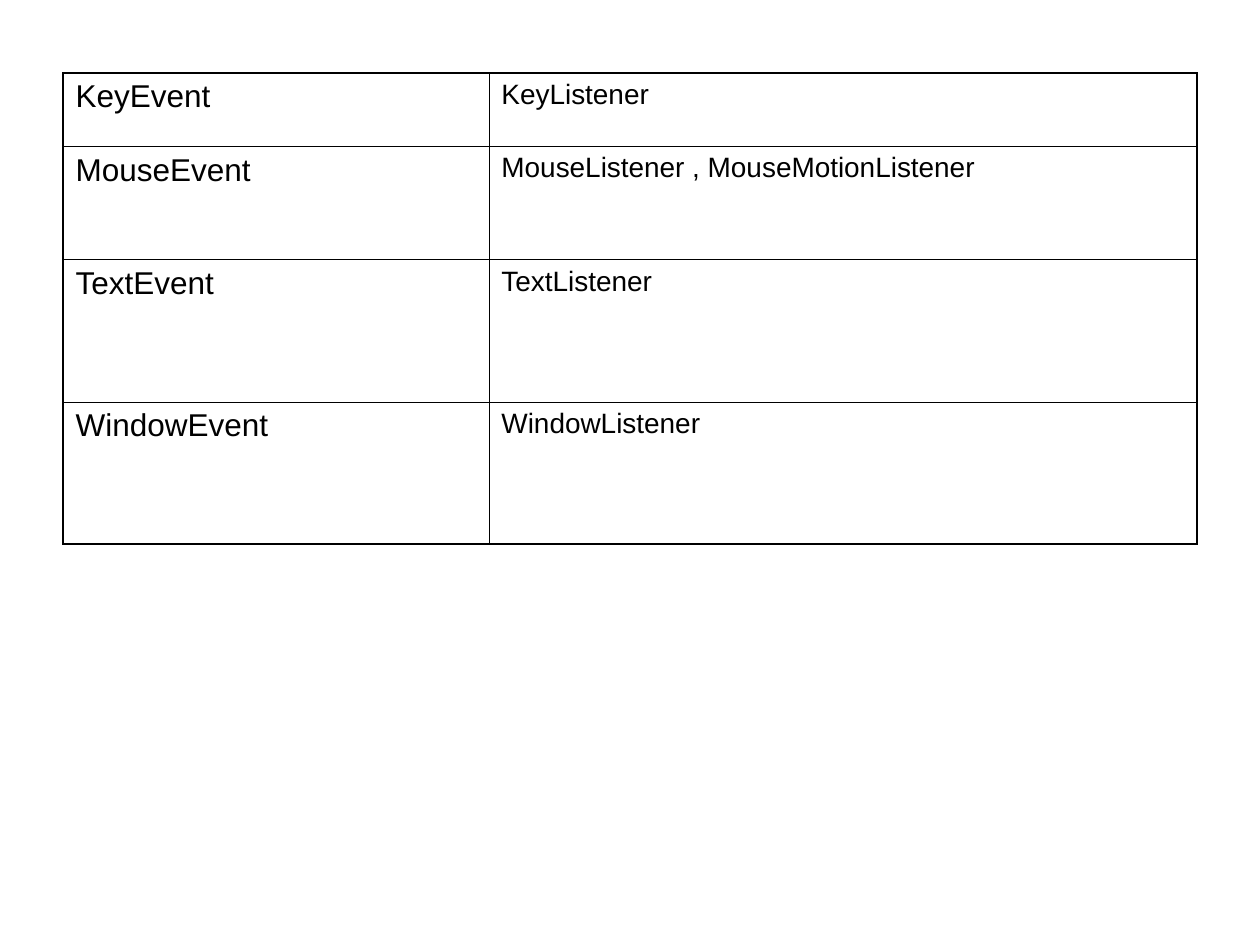
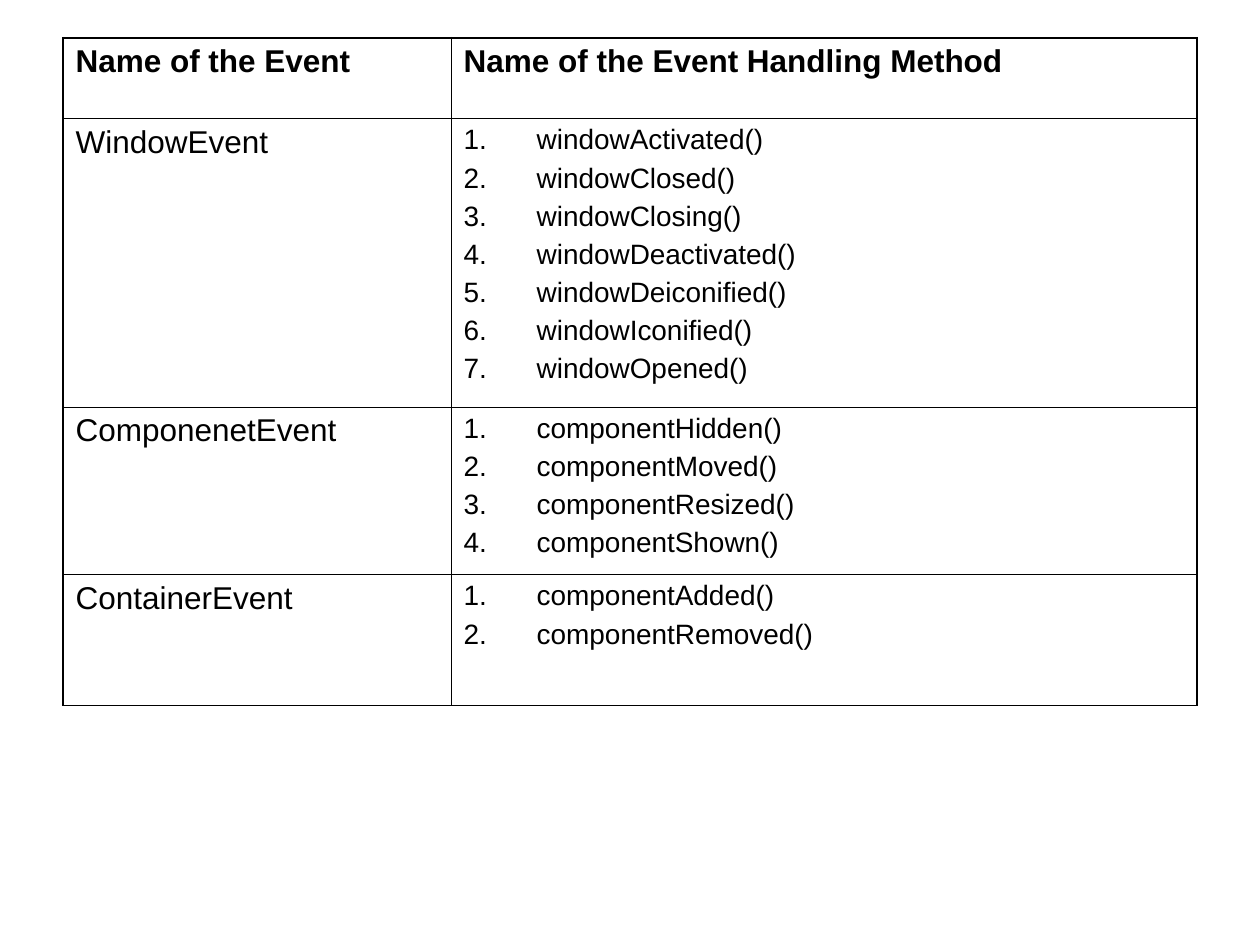
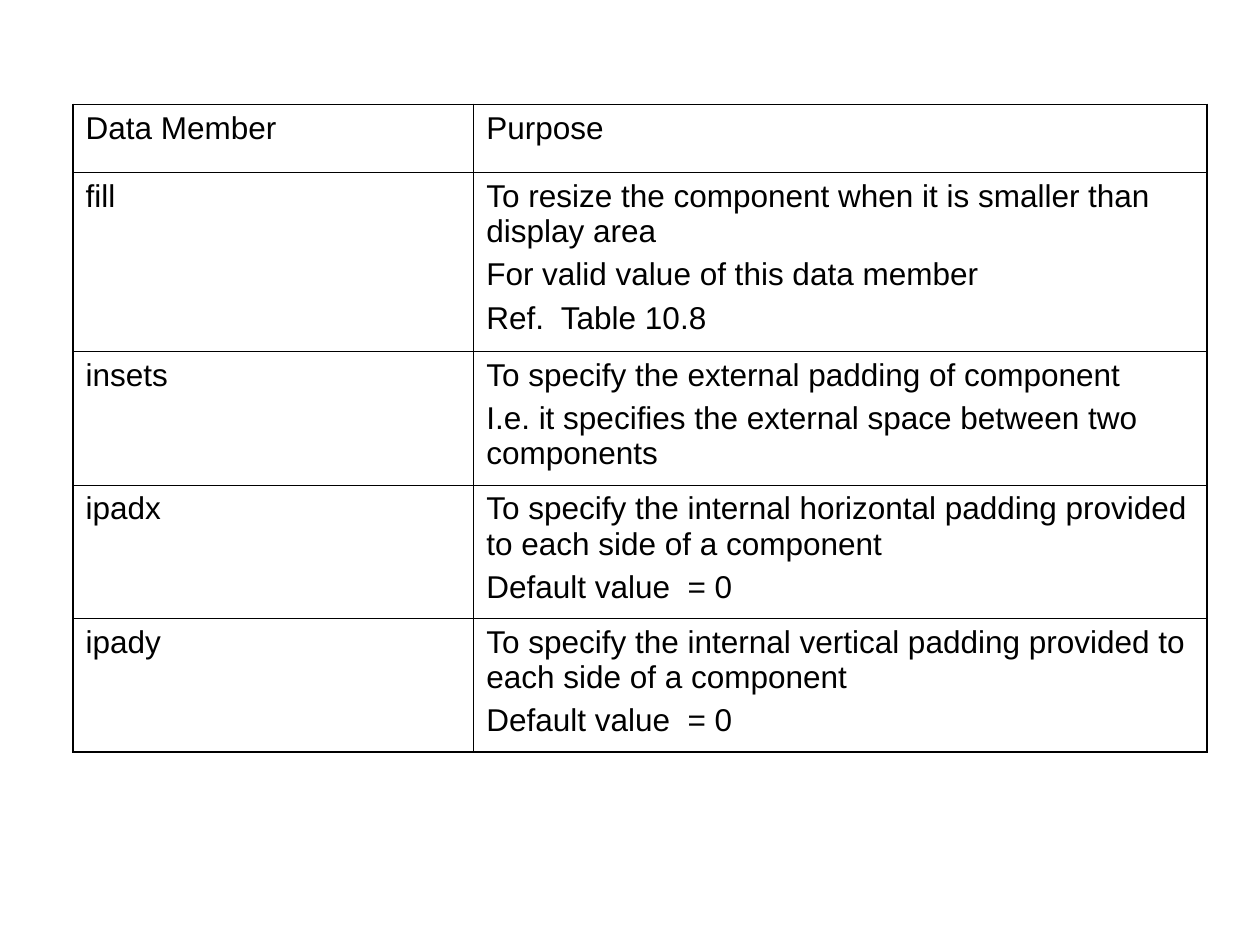
from lxml.etree import SubElement
from pptx import Presentation
from pptx.dml.color import RGBColor
from pptx.oxml.ns import qn
from pptx.util import Inches, Pt

INK = "000000"
FONT = "Arial"
OUTER_LINE, INNER_LINE = Pt(1.08), Pt(0.45)
PLAIN_TABLE_STYLE = "{2D5ABB26-0587-4C30-8999-92F81FD0307C}"
HANGING = Inches(0.58)
CELL_FORMAT = {
    "margin_left": Inches(0.1),
    "margin_right": Inches(0.1),
    "margin_top": Inches(0.05),
    "margin_bottom": Inches(0.05),
}
LABEL = {"size": 18, "space": 4.5}
HEADING = {**LABEL, "bold": True}
DETAIL = {"size": 16, "space": 4, "hanging": True}
NUMBERED = {**DETAIL, "numbered": True}

LISTENERS = [
    ("KeyEvent", ["KeyListener"]),
    ("MouseEvent", ["MouseListener , MouseMotionListener"]),
    ("TextEvent", ["TextListener"]),
    ("WindowEvent", ["WindowListener"]),
]
HANDLERS = [
    ("Name of the Event", ["Name of the Event Handling Method"]),
    ("WindowEvent", [
        "windowActivated()", "windowClosed()", "windowClosing()",
        "windowDeactivated()", "windowDeiconified()", "windowIconified()",
        "windowOpened()",
    ]),
    ("ComponenetEvent", [
        "componentHidden()", "componentMoved()", "componentResized()",
        "componentShown()",
    ]),
    ("ContainerEvent", ["componentAdded()", "componentRemoved()"]),
]
DATA_MEMBERS = [
    ("Data Member", ["Purpose"]),
    ("fill", [
        "To resize the component when it is smaller than display area",
        "For valid value of this data member",
        "Ref.  Table 10.8",
    ]),
    ("insets", [
        "To specify the external padding of component",
        "I.e. it specifies the external space between two components",
    ]),
    ("ipadx", [
        "To specify the internal horizontal padding provided to each side of a component",
        "Default value  = 0",
    ]),
    ("ipady", [
        "To specify the internal vertical padding provided to each side of a component",
        "Default value  = 0",
    ]),
]


def color(hex_string):
    """Return the colour for a hex string."""
    return RGBColor.from_string(hex_string)


def set_attributes(target, values):
    """Set each named attribute of the target."""
    for name, value in values.items():
        setattr(target, name, value)


def add_color(parent, tag, hex_string):
    """Append an element that holds one colour."""
    SubElement(SubElement(parent, qn(tag)), qn("a:srgbClr"), val=hex_string)


def draw_borders(cell, outer_sides):
    """Rule the four sides of a cell, heavier on the outer sides."""
    properties = cell._tc.get_or_add_tcPr()
    for side in "LRTB":
        width = OUTER_LINE if side in outer_sides else INNER_LINE
        line = SubElement(properties, qn(f"a:ln{side}"), w=str(int(width)))
        add_color(line, "a:solidFill", INK)


def write_paragraph(paragraph, text, style):
    """Write one paragraph in the given style."""
    paragraph.space_before = Pt(style["space"])
    properties = paragraph._p.get_or_add_pPr()
    if style.get("hanging"):
        properties.set("marL", str(int(HANGING)))
        properties.set("indent", str(-int(HANGING)))
    if style.get("numbered"):
        add_color(properties, "a:buClr", INK)
        SubElement(properties, qn("a:buAutoNum"), type="arabicPeriod")
    run = paragraph.add_run()
    run.text = text
    set_attributes(run.font, {
        "name": FONT,
        "size": Pt(style["size"]),
        "bold": style.get("bold", False),
    })
    run.font.color.rgb = color(INK)


def fill_cell(cell, lines, style, outer_sides):
    """Format a cell and write its lines."""
    set_attributes(cell, CELL_FORMAT)
    draw_borders(cell, outer_sides)
    cell.fill.background()
    frame = cell.text_frame
    for index, text in enumerate(lines):
        paragraph = frame.add_paragraph() if index else frame.paragraphs[0]
        write_paragraph(paragraph, text, style)


def add_table_slide(presentation, box, label_width, heights, rows, detail_style, heading_style=None):
    """Add a slide with a two-column ruled table at the box's left, top and width."""
    slide = presentation.slides.add_slide(presentation.slide_layouts[6])
    left, top, width = box
    graphic_frame = slide.shapes.add_table(
        len(rows), 2, Inches(left), Inches(top), Inches(width), Inches(sum(heights)))
    for style_id in graphic_frame.element.iter(qn("a:tableStyleId")):
        style_id.text = PLAIN_TABLE_STYLE
    table = graphic_frame.table
    set_attributes(table, {"first_row": False, "horz_banding": False})
    for column, column_width in zip(table.columns, (label_width, width - label_width)):
        column.width = Inches(column_width)
    for index, (label, details) in enumerate(rows):
        table.rows[index].height = Inches(heights[index])
        ends = ("T" if index == 0 else "") + ("B" if index == len(rows) - 1 else "")
        is_heading = heading_style and index == 0
        label_style = heading_style if is_heading else LABEL
        fill_cell(table.cell(index, 0), [label], label_style, "L" + ends)
        fill_cell(table.cell(index, 1), details,
                  heading_style if is_heading else detail_style, "R" + ends)


def main():
    """Build the three table slides and save them."""
    presentation = Presentation()
    set_attributes(presentation, {"slide_width": Inches(10), "slide_height": Inches(7.5)})
    add_table_slide(presentation, (0.5, 0.58, 9), 3.38, [0.58, 0.9, 1.13, 1.13],
                    LISTENERS, DETAIL)
    add_table_slide(presentation, (0.5, 0.3, 9), 3.08, [0.64, 2.29, 1.33, 1.04],
                    HANDLERS, NUMBERED, HEADING)
    add_table_slide(presentation, (0.58, 0.83, 9), 3.18, [0.54, 1.42] + [1.06] * 3,
                    DATA_MEMBERS, LABEL)
    presentation.save("out.pptx")


if __name__ == "__main__":
    main()
